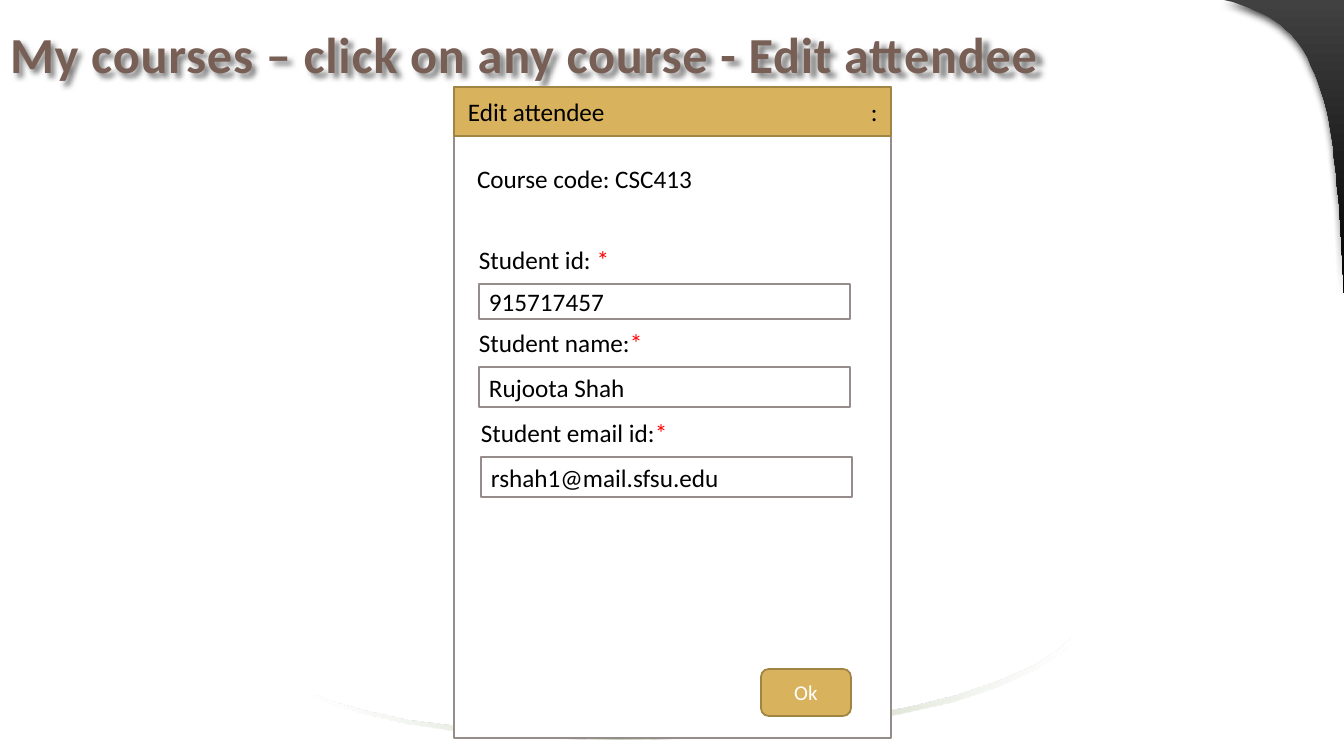
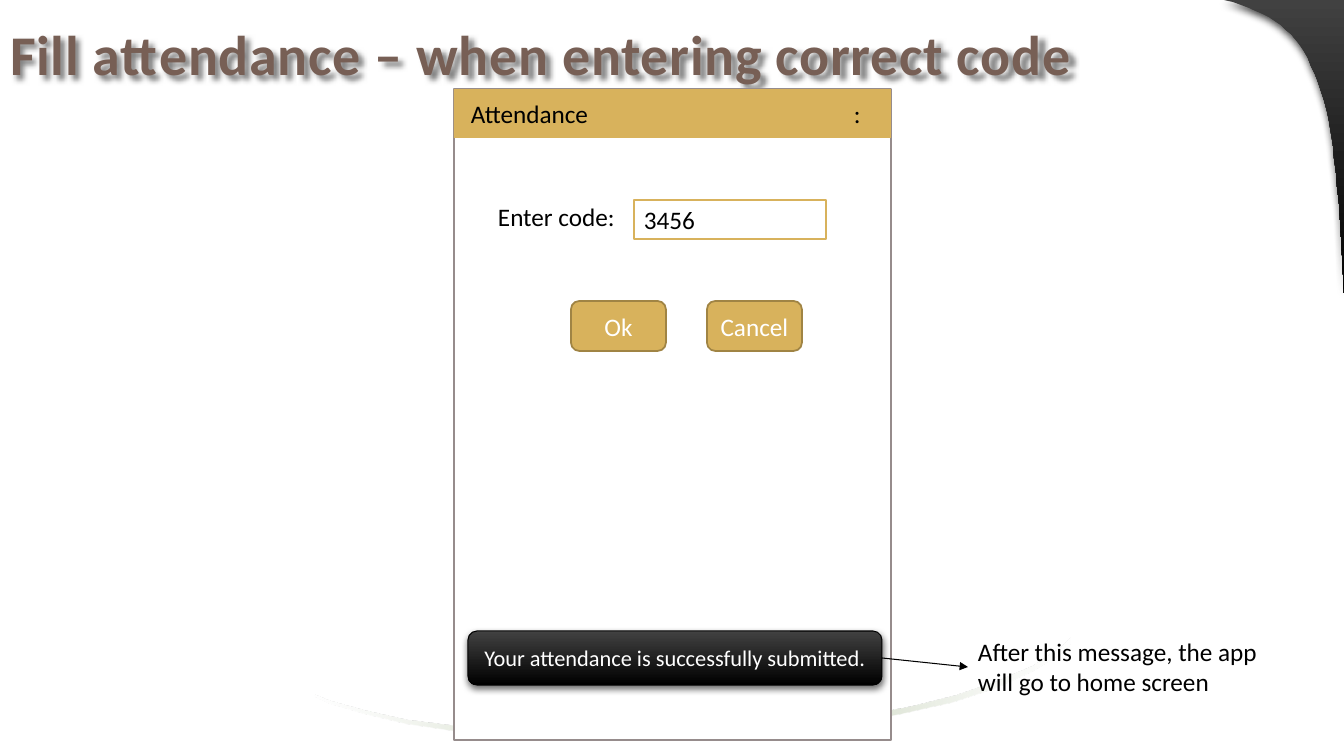
from pptx import Presentation
from pptx.dml.color import RGBColor
from pptx.enum.shapes import MSO_CONNECTOR as CONNECTOR, MSO_SHAPE as SHAPE
from pptx.enum.text import MSO_ANCHOR as ANCHOR, MSO_AUTO_SIZE as AUTO_SIZE, PP_ALIGN as ALIGN
from pptx.oxml import parse_xml
from pptx.oxml.ns import nsdecls, qn
from pptx.util import Emu, Pt

COLORS = {"white": "FFFFFF", "black": "000000", "charcoal": "414141", "brown": "775F55",
          "gold": "D8B25C", "bronze": "A08444", "grey": "968C8C", "red": "FF0000",
          "sage": "9CB084"}
FONT = "Calibri"
SCALE = 914400 / 100.8  # EMU per px
SLIDE_W, SLIDE_H = 1344, 756
SCREEN_X, SCREEN_W, SCREEN_H, BAR_H = 454, 437, 651, 49

# Content
EDIT = {
    "title": "My courses – click on any course - Edit attendee", "title_size": 36,
    "bar": "Edit attendee", "bar_inset": 14, "menu_tab": 403, "bar_line": "bronze",
    "screen_y": 87,
}
COURSE = "Course code: CSC413"
FORM = [  # label, value, field left, field top, field height
    ("Student id: ", "915717457", 479, 284, 35),
    ("Student name:", "Rujoota Shah", 479, 367, 40),
    ("Student email id:", "rshah1@mail.sfsu.edu", 481, 457, 40),
]
ATTENDANCE = {
    "title": "Fill attendance – when entering correct code", "title_size": 40,
    "bar": "Attendance", "bar_inset": 17, "menu_tab": 383, "bar_line": None,
    "screen_y": 89,
}
CODE_LABEL, CODE = "Enter code:", "3456"
CODE_BUTTONS = ["Ok", "Cancel"]
MESSAGE = "Your attendance is successfully submitted."
NOTE = "After this message, the app will go to home screen"

# Background outlines
SWOOSH = [
    (1070, 638), (1070, 645), (1059, 655), (1031, 672), (995, 688), (952, 702), (903, 713),
    (851, 723), (794, 730), (736, 735), (677, 738), (618, 739), (560, 738), (505, 735),
    (454, 730), (406, 723), (364, 713), (330, 703), (315, 696), (315, 694), (330, 700),
    (366, 710), (407, 719), (456, 725), (508, 730), (563, 733), (622, 733), (681, 732),
    (740, 729), (798, 724), (854, 716), (906, 707), (955, 695), (997, 681), (1032, 666),
    (1060, 648),
]
CORNER = [
    (1224, 0), (1344, 0), (1344, 293), (1343, 273), (1342, 254), (1341, 236), (1340, 219),
    (1339, 203), (1337, 186), (1336, 172), (1334, 158), (1333, 145), (1331, 133), (1329, 121),
    (1327, 111), (1324, 100), (1321, 91), (1318, 82), (1315, 74), (1311, 66), (1308, 58),
    (1304, 51), (1300, 45), (1296, 40), (1291, 34), (1286, 30), (1281, 25), (1275, 21),
    (1269, 17), (1263, 14), (1256, 11), (1249, 8), (1241, 5), (1233, 2),
]
SWOOSH_STOPS = [(0, "white", 30), (50, "sage", 100), (100, "white", 30)]
DARK_STOPS = [(0, "charcoal", 100), (100, "black", 100)]


def px(length):
    return Emu(round(length * SCALE))


def rgb(name):
    return RGBColor.from_string(COLORS[name])


def color_xml(name, alpha):
    return f'<a:srgbClr val="{COLORS[name]}"><a:alpha val="{alpha * 1000}"/></a:srgbClr>'


def set_shadow(shape, alpha, blur, distance, angle):
    shape.shadow.inherit = False
    props = shape.element.spPr
    props.replace(props.find(qn("a:effectLst")), parse_xml(
        f'<a:effectLst {nsdecls("a")}><a:outerShdw blurRad="{Pt(blur)}" dist="{Pt(distance)}" '
        f'dir="{angle * 60000}" algn="ctr" rotWithShape="0">{color_xml("black", alpha)}'
        '</a:outerShdw></a:effectLst>'))


def set_gradient(shape, stops, angle):
    steps = "".join(f'<a:gs pos="{pos * 1000}">{color_xml(name, alpha)}</a:gs>'
                    for pos, name, alpha in stops)
    gradient = parse_xml(f'<a:gradFill {nsdecls("a")} rotWithShape="1"><a:gsLst>{steps}</a:gsLst>'
                         f'<a:lin ang="{angle * 60000}" scaled="0"/></a:gradFill>')
    shape.fill.background()
    props = shape.element.spPr
    props.replace(props.find(qn("a:noFill")), gradient)


def write(shape, text, size=18, color="black", bold=False, align=ALIGN.LEFT,
          anchor=ANCHOR.MIDDLE, inset=10, tab=None, star=False):
    frame = shape.text_frame
    frame.word_wrap = True
    frame.auto_size = AUTO_SIZE.NONE
    frame.vertical_anchor = anchor
    frame.margin_left = px(inset)
    frame.margin_right = px(0 if tab else inset)  # room for the text after the tab
    frame.margin_top = frame.margin_bottom = px(5)
    paragraph = frame.paragraphs[0]
    paragraph.alignment = align
    if tab:
        paragraph._p.get_or_add_pPr().append(parse_xml(
            f'<a:tabLst {nsdecls("a")}><a:tab pos="{px(tab)}" algn="l"/></a:tabLst>'))
    parts = [(text, color)] + ([("*", "red")] if star else [])
    for words, tone in parts:
        run = paragraph.add_run()
        run.text = words
        run.font.name, run.font.size, run.font.bold = FONT, Pt(size), bold
        run.font.color.rgb = rgb(tone)
    return paragraph


def add_label(slide, box, text, **text_format):
    label = slide.shapes.add_textbox(*map(px, box))
    write(label, text, **text_format)
    return label


def add_box(slide, box, fill="white", line="grey", kind=SHAPE.RECTANGLE, weight=1.25):
    shape = slide.shapes.add_shape(kind, *map(px, box))
    shape.shadow.inherit = False
    shape.fill.solid()
    shape.fill.fore_color.rgb = rgb(fill)
    if line:
        shape.line.color.rgb = rgb(line)
        shape.line.width = Pt(weight)
    else:
        shape.line.fill.background()
    return shape


def add_button(slide, box, text, size):
    button = add_box(slide, box, "gold", "bronze", SHAPE.ROUNDED_RECTANGLE)
    write(button, text, size=size, color="white", align=ALIGN.CENTER, inset=5)


def add_outline(slide, points, stops, angle):
    builder = slide.shapes.build_freeform(*points[0], scale=SCALE)
    builder.add_line_segments(points[1:], close=True)
    outline = builder.convert_to_shape()
    outline.shadow.inherit = False
    outline.line.fill.background()
    set_gradient(outline, stops, angle)
    return outline


def decorate_layout(layout, slide):
    """Draw the background once and hand it over to the shared layout."""
    swoosh = add_outline(slide, SWOOSH, SWOOSH_STOPS, 0)
    corner = add_outline(slide, CORNER, DARK_STOPS, 90)
    set_shadow(corner, 75, 6, 3, 90)
    for outline in (swoosh, corner):
        layout.shapes.element.append(outline.element)


def add_app_screen(slide, content):
    # Title; the shadow of its unfilled box falls from the letters
    title = slide.shapes.title
    title.left, title.top, title.width, title.height = map(px, (0, 0, 1141, 107))
    paragraph = write(title, content["title"], size=content["title_size"],
                      color="brown", bold=True)
    paragraph.runs[0].font._element.set("spc", "50")
    title.fill.background()
    set_shadow(title, 50, 4, 3, 45)

    # Phone screen and its top bar
    top = content["screen_y"]
    add_box(slide, (SCREEN_X, top, SCREEN_W, SCREEN_H))
    bar = add_box(slide, (SCREEN_X, top, SCREEN_W, BAR_H), "gold", content["bar_line"])
    write(bar, content["bar"] + "\t:", inset=content["bar_inset"], tab=content["menu_tab"])


def fill_edit_slide(slide):
    add_app_screen(slide, EDIT)
    add_label(slide, (467, 157, 320, 42), COURSE)
    for label, value, left, top, height in FORM:
        add_label(slide, (left - 10, top - 42, 217, 35), label, star=True)
        write(add_box(slide, (left, top, 371, height)), value)
    add_button(slide, (761, 669, 90, 47), "Ok", 15)


def fill_attendance_slide(slide):
    add_app_screen(slide, ATTENDANCE)
    # Code entry
    add_label(slide, (488, 198, 140, 36), CODE_LABEL)
    write(add_box(slide, (634, 200, 192, 39), line="gold"), CODE)
    for index, text in enumerate(CODE_BUTTONS):
        add_button(slide, (571 + index * 136, 301, 95, 50), text, 18)

    # Confirmation message and the remark beside it
    message = add_box(slide, (468, 631, 414, 54), "black", "black",
                      SHAPE.ROUNDED_RECTANGLE, 0.75)
    set_gradient(message, DARK_STOPS, 90)
    set_shadow(message, 60, 5, 2, 90)
    write(message, MESSAGE, size=16, color="white", align=ALIGN.CENTER, inset=5)
    note = add_label(slide, (968, 631, 304, 72), NOTE, anchor=ANCHOR.TOP)
    arrow = slide.shapes.add_connector(CONNECTOR.STRAIGHT, 0, 0, 0, 0)
    arrow.begin_connect(message, 3)
    arrow.end_connect(note, 1)
    arrow.line.color.rgb = rgb("black")
    arrow.line.width = Pt(0.75)
    arrow.line._get_or_add_ln().append(parse_xml(f'<a:tailEnd {nsdecls("a")} type="triangle"/>'))
    arrow.element.spPr.append(parse_xml(f'<a:effectLst {nsdecls("a")}/>'))


def main():
    deck = Presentation()
    deck.slide_width, deck.slide_height = px(SLIDE_W), px(SLIDE_H)
    layout = deck.slide_layouts[5]
    edit_slide, attendance_slide = (deck.slides.add_slide(layout) for _ in range(2))
    decorate_layout(layout, edit_slide)
    fill_edit_slide(edit_slide)
    fill_attendance_slide(attendance_slide)
    deck.save("out.pptx")


if __name__ == "__main__":
    main()
